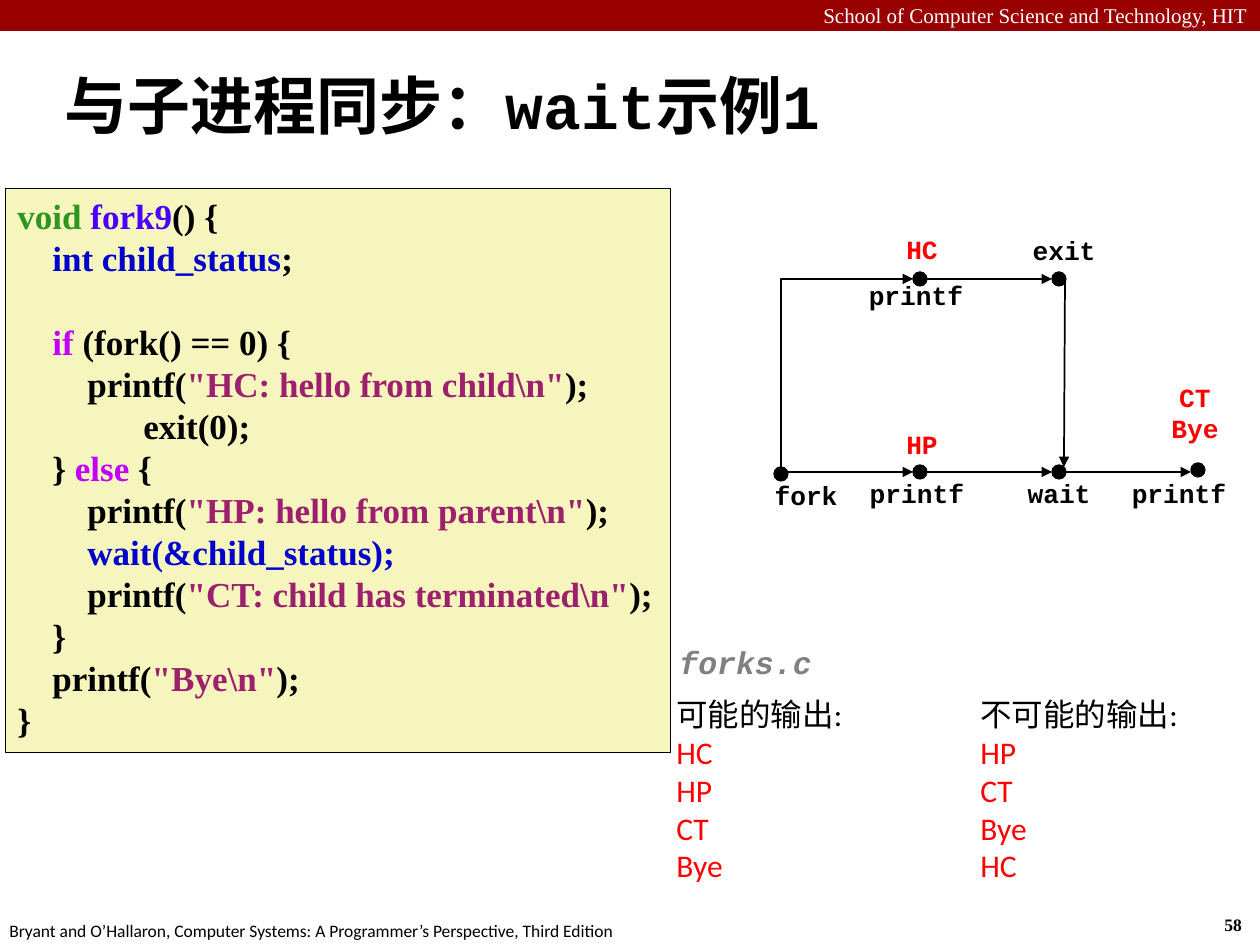
from pptx import Presentation
from pptx.dml.color import RGBColor as RGB
from pptx.enum.shapes import MSO_CONNECTOR as CONN, MSO_SHAPE as SHAPE
from pptx.enum.text import MSO_ANCHOR as ANCHOR, PP_ALIGN as ALIGN
from pptx.oxml.ns import qn
from pptx.util import Emu, Pt
from lxml import etree

BLACK, WHITE, RED = RGB(0, 0, 0), RGB(255, 255, 255), RGB(255, 0, 0)
MAROON, CREAM, GRAY = RGB(0x99, 0, 0), RGB(0xF6, 0xF5, 0xBD), RGB(0x80, 0x80, 0x80)
GREEN, VIOLET, BLUE = RGB(0x2D, 0x96, 0x1E), RGB(0x4A, 0, 0xFF), RGB(0, 0, 0xCC)
MAGENTA, PLUM = RGB(0xC2, 0, 0xFF), RGB(0x9D, 0x20, 0x6F)
SERIF, SANS, MONO = "Times New Roman", "Calibri", "Courier New"


def px(n):
    return Emu(round(n * 914400 / 126))


class Deck:
    """Holds the style and the current slide."""

    def __init__(self, prs):
        self.slide = prs.slides.add_slide(prs.slide_layouts[5])
        self.shapes = self.slide.shapes

    def run(self, p, text, size, font, color=BLACK, bold=False, italic=False):
        r = p.add_run()
        r.text = text
        f = r.font
        f.size, f.name, f.bold, f.italic = Pt(size), font, bold, italic
        f.color.rgb = color

    def title(self, box, runs):
        sp = self.shapes.title
        sp.left, sp.top, sp.width, sp.height = map(px, box)
        sp.text_frame.vertical_anchor = ANCHOR.MIDDLE
        p = sp.text_frame.paragraphs[0]
        p.alignment = ALIGN.LEFT
        for text, font in runs:
            self.run(p, text, 36, font, bold=True)

    def shape(self, kind, box, fill, line=None, width=0.75):
        sp = self.shapes.add_shape(kind, *map(px, box))
        sp.shadow.inherit = False
        sp.fill.solid()
        sp.fill.fore_color.rgb = fill
        if line is None:
            sp.line.fill.background()
        else:
            sp.line.color.rgb = line
            sp.line.width = Pt(width)
        return sp

    def text(self, box, lines, size, font, align=ALIGN.LEFT, wrap=False, spacing=None, **style):
        """Each line is a (text, color) pair."""
        tf = self.shapes.add_textbox(*map(px, box)).text_frame
        tf.word_wrap = wrap
        for i, (text, color) in enumerate(lines):
            p = tf.add_paragraph() if i else tf.paragraphs[0]
            p.alignment, p.line_spacing = align, spacing
            self.run(p, text, size, font, color, **style)

    def code(self, box, lines):
        """Each line is (indent, space before in points, runs)."""
        tf = self.shape(SHAPE.RECTANGLE, box, CREAM, BLACK, 0.25).text_frame
        tf.word_wrap = False
        tf.vertical_anchor = ANCHOR.TOP
        for i, (indent, before, runs) in enumerate(lines):
            p = tf.add_paragraph() if i else tf.paragraphs[0]
            p.alignment, p.line_spacing, p.space_before = ALIGN.LEFT, Pt(24), Pt(before)
            p._p.get_or_add_pPr().set("marL", str(px(indent)))
            for text, color in runs:
                self.run(p, text, 20, SERIF, color, bold=True)

    def node(self, x, y):
        self.shape(SHAPE.OVAL, (x - 7, y - 7, 14, 14), BLACK, BLACK)

    def label(self, x, top, *words, color=BLACK):
        self.text((x - 71, top, 142, 52), [(w, color) for w in words], 15, MONO,
                  ALIGN.CENTER, bold=True)

    def arrow(self, x1, y1, x2, y2, kind=CONN.STRAIGHT):
        c = self.shapes.add_connector(kind, *map(px, (x1, y1, x2, y2)))
        c.line.color.rgb = BLACK
        c.line.width = Pt(1)
        etree.SubElement(c.line._get_or_add_ln(), qn("a:tailEnd"), type="triangle")
        etree.SubElement(c._element.spPr, qn("a:effectLst"))
        return c

    def corner_arrow(self, x1, y1, x2, y2):
        """Goes straight up from the start, then right to the end."""
        cx, cy = (x1 + x2) / 2, (y1 + y2) / 2
        w, h = y1 - y2, x2 - x1
        c = self.arrow(cx + w / 2, cy + h / 2, cx - w / 2, cy - h / 2, CONN.ELBOW)
        sp_pr = c._element.spPr
        sp_pr.find(qn("a:xfrm")).set("rot", "5400000")
        sp_pr.find(qn("a:prstGeom")).set("prst", "bentConnector2")


def printf(literal):
    return [("printf(", BLACK), (f'"{literal}\\n"', PLUM), (");", BLACK)]


def main():
    prs = Presentation()
    prs.slide_width, prs.slide_height = px(1260), px(945)
    d = Deck(prs)

    # Header band and footer
    d.shape(SHAPE.RECTANGLE, (0, 0, 1260, 31), MAROON)
    d.text((0, -4, 1260, 38), [("School of Computer Science and Technology, HIT", WHITE)],
           12, SERIF, ALIGN.RIGHT, wrap=True)
    d.text((1212, 908, 47, 34), [("58", BLACK)], 10, SERIF, bold=True)
    d.text((-3, 914, 640, 34), [("Bryant and O’Hallaron, Computer Systems: "
           "A Programmer’s Perspective, Third Edition", BLACK)], 10, SANS)

    d.title((52, 52, 1198, 105), [("与子进程同步：", SANS), ("wait示例1", MONO)])

    # Code listing
    tab = 35
    d.code((5, 188, 665, 564), [
        (0, 0, [("void ", GREEN), ("fork9", VIOLET), ("() {", BLACK)]),
        (tab, 0, [("int child_status", BLUE), (";", BLACK)]),
        (tab, 24, [("if", MAGENTA), (" (fork() == 0) {", BLACK)]),
        (2 * tab, 0, printf("HC: hello from child")),
        (126, 0, [("exit(0);", BLACK)]),
        (tab, 0, [("} ", BLACK), ("else", MAGENTA), (" {", BLACK)]),
        (2 * tab, 0, printf("HP: hello from parent")),
        (2 * tab, 0, [("wait(&child_status);", BLUE)]),
        (2 * tab, 0, printf("CT: child has terminated")),
        (tab, 0, [("}", BLACK)]),
        (tab, 0, printf("Bye")),
        (0, 0, [("}", BLACK)]),
    ])

    # Process graph: columns one step apart, child row above parent row
    fork_x, print_x, wait_x, end_x = (781 + 139 * i for i in range(4))
    child_y, parent_y = 279, 472
    for x, y in [(fork_x, parent_y + 2), (print_x, parent_y), (wait_x, parent_y),
                 (end_x, parent_y - 2), (print_x, child_y), (wait_x, child_y)]:
        d.node(x, y)
    for x in (fork_x, print_x, wait_x):
        d.arrow(x + 7, parent_y, x + 132, parent_y)
    d.arrow(print_x + 7, child_y, wait_x - 7, child_y)
    d.arrow(wait_x + 6, child_y, wait_x + 5, parent_y - 5)
    d.corner_arrow(fork_x, parent_y - 5, print_x - 7, child_y)

    for x, top, word in [(806, 473, "fork"), (917, 471, "printf"), (wait_x, 471, "wait"),
                         (1179, 471, "printf"), (916, 273, "printf"), (1064, 228, "exit")]:
        d.label(x, top, word)
    d.label(922, 422, "HP", color=RED)
    d.label(922, 227, "HC", color=RED)
    d.label(1195, 375, "CT", "Bye", color=RED)

    # File name and output lists
    d.text((667, 640, 166, 49), [("forks.c", GRAY)], 18, MONO, spacing=0.94,
           bold=True, italic=True)
    for x, width, head, words in [(664, 193, "可能的输出:", "HC HP CT Bye"),
                                  (968, 224, "不可能的输出:", "HP CT Bye HC")]:
        d.text((x, 689, width, 204),
               [(head, BLACK)] + [(w, RED) for w in words.split()], 18, SANS)

    prs.save("out.pptx")


if __name__ == "__main__":
    main()
